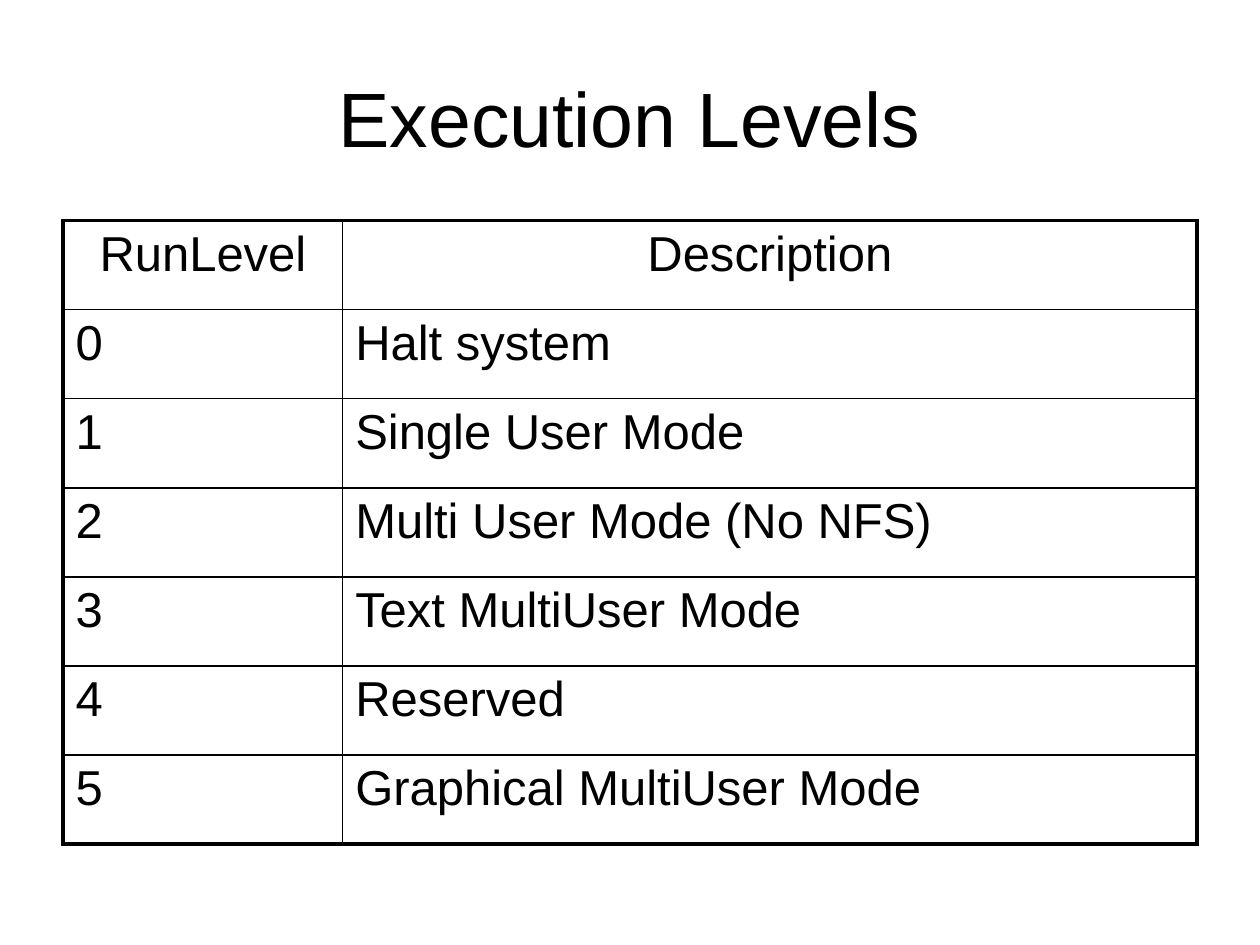
"""Build the slide listing the system execution levels."""
from typing import NamedTuple

import pptx
import pptx.dml.color
import pptx.enum.text
import pptx.oxml
import pptx.oxml.ns
import pptx.util

Inches = pptx.util.Inches
Pt = pptx.util.Pt
Align = pptx.enum.text.PP_ALIGN
Anchor = pptx.enum.text.MSO_ANCHOR

FONT = "Arial"
BLACK = "000000"
OUTER_LINE = 2.25
INNER_LINE = 1


class Level(NamedTuple):
    number: str
    description: str


HEADER = Level("RunLevel", "Description")
LEVELS = [
    Level("0", "Halt system"),
    Level("1", "Single User Mode"),
    Level("2", "Multi User Mode (No NFS)"),
    Level("3", "Text MultiUser Mode"),
    Level("4", "Reserved"),
    Level("5", "Graphical MultiUser Mode"),
]


def color(value: str) -> pptx.dml.color.RGBColor:
    return pptx.dml.color.RGBColor.from_string(value)


def write(text_frame, text: str, size: float, alignment: Align) -> None:
    paragraph = text_frame.paragraphs[0]
    paragraph.alignment = alignment
    run = paragraph.add_run()
    run.text = text
    run.font.name = FONT
    run.font.size = Pt(size)
    run.font.color.rgb = color(BLACK)


def add_border(cell, side: str, width: float) -> None:
    border = pptx.oxml.parse_xml(
        f'<a:ln{side} {pptx.oxml.ns.nsdecls("a")} w="{Pt(width)}">'
        f'<a:solidFill><a:srgbClr val="{BLACK}"/></a:solidFill></a:ln{side}>'
    )
    cell._tc.get_or_add_tcPr().append(border)


def add_title(slide, text: str) -> None:
    title = slide.shapes.add_textbox(Inches(0.5), Inches(0.3), Inches(9), Inches(1.25))
    title.text_frame.word_wrap = True
    title.text_frame.vertical_anchor = Anchor.MIDDLE
    write(title.text_frame, text, 44, Align.CENTER)


def add_level_table(slide, levels: list[Level]) -> None:
    rows = [HEADER, *levels]
    widths = [2.22, 6.78]
    table = slide.shapes.add_table(
        len(rows), len(widths), Inches(0.5), Inches(1.75), Inches(9), Inches(4.95)
    ).table
    table.first_row = False
    table.horz_banding = False
    for column, width in zip(table.columns, widths):
        column.width = Inches(width)
    last_row, last_column = len(rows) - 1, len(widths) - 1
    for row_index, level in enumerate(rows):
        alignment = Align.CENTER if level is HEADER else Align.LEFT
        for column_index, text in enumerate(level):
            cell = table.cell(row_index, column_index)
            write(cell.text_frame, text, 28, alignment)
            outer_sides = {
                "L": column_index == 0,
                "R": column_index == last_column,
                "T": row_index == 0,
                "B": row_index == last_row,
            }
            for side, is_outer in outer_sides.items():
                add_border(cell, side, OUTER_LINE if is_outer else INNER_LINE)
            cell.fill.background()


def main() -> None:
    presentation = pptx.Presentation()
    presentation.slide_width = Inches(10)
    presentation.slide_height = Inches(7.5)
    slide = presentation.slides.add_slide(presentation.slide_layouts[6])
    add_title(slide, "Execution Levels")
    add_level_table(slide, LEVELS)
    presentation.save("out.pptx")


if __name__ == "__main__":
    main()
